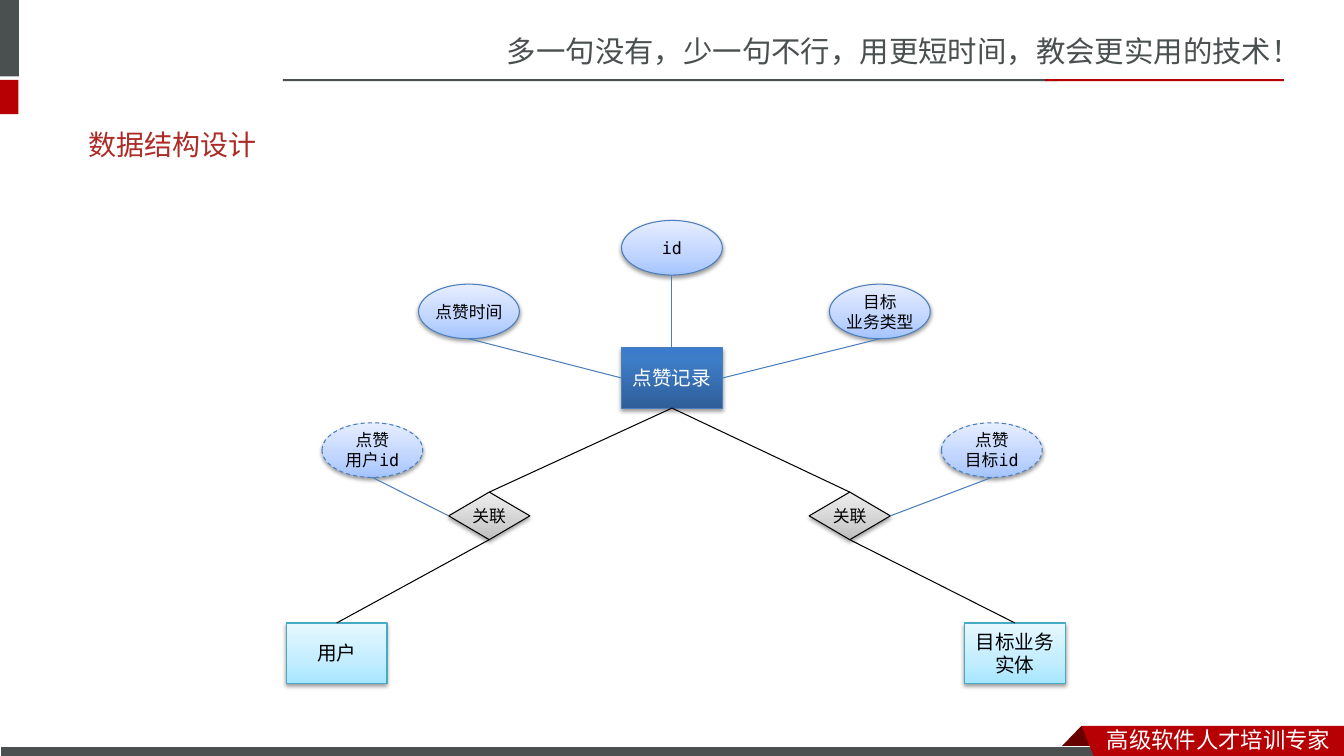
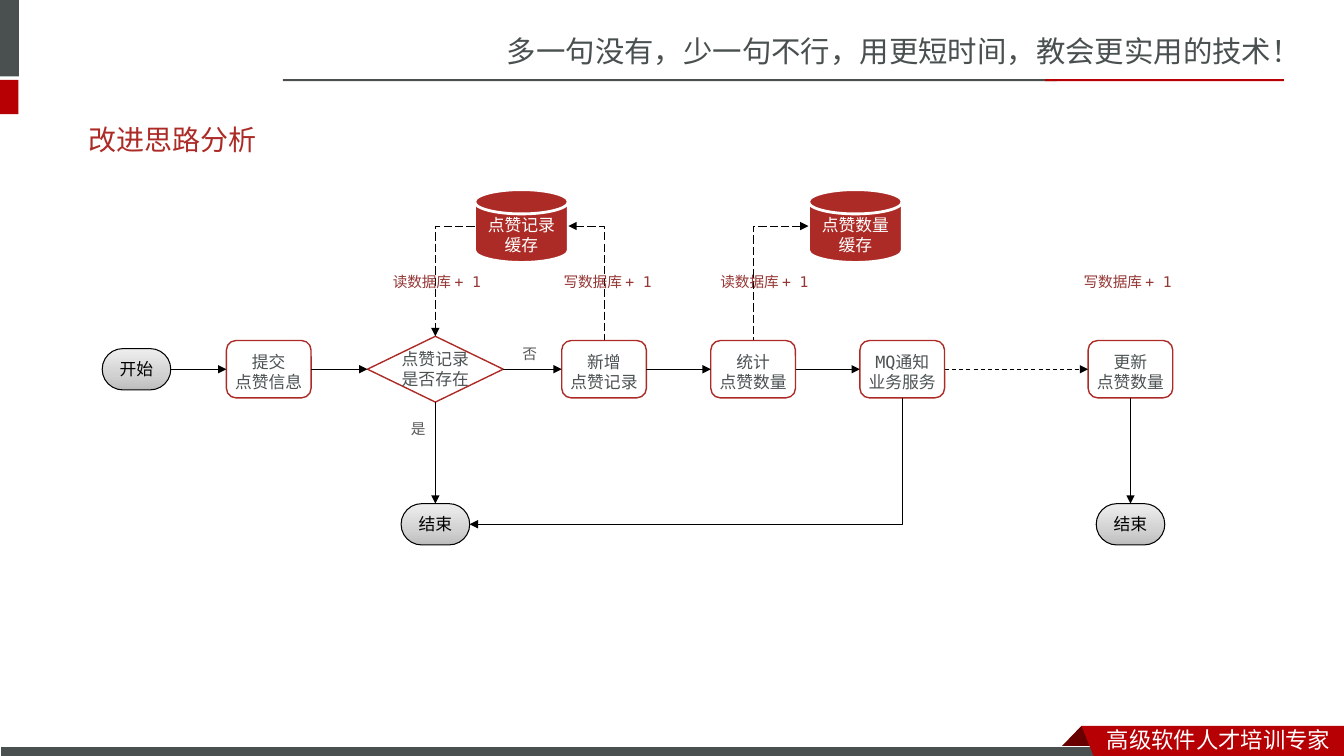
from dataclasses import dataclass
from enum import Enum
from typing import Optional, Union

import pptx
import pptx.dml.color
import pptx.enum.dml
import pptx.enum.shapes
import pptx.enum.text
import pptx.oxml.ns
import pptx.util
from lxml import etree

Pt = pptx.util.Pt
qn = pptx.oxml.ns.qn
Shape = pptx.enum.shapes.MSO_SHAPE
Dash = pptx.enum.dml.MSO_LINE
Align = pptx.enum.text.PP_ALIGN
Anchor = pptx.enum.text.MSO_ANCHOR

SANS, MONO, TITLE_FONT = "Noto Sans CJK SC", "DejaVu Sans Mono", "Calibri"
SLATE, RED, DARK_RED, WHITE, BLACK = "49504F", "B60004", "680000", "FFFFFF", "000000"
BRICK, LABEL_RED, LABEL_GREY, STEP_TEXT = "AD2B26", "953735", "595959", "4C5252"
BLUE, TEAL = "4B7EBC", "46AAC5"

# Gradient stops, from the bottom edge upwards
Stops = tuple[tuple[int, str], ...]
NAVY_FADE: Stops = ((0, "2F5F99"), (80, "3D7CC7"), (100, "3A7CCB"))
AQUA_FADE: Stops = ((0, "A7E6FF"), (35, "C1EDFF"), (100, "E7F8FF"))
GREY_FADE: Stops = ((0, "BDBDBD"), (35, "D1D1D1"), (100, "EEEEEE"))
BLUE_FADE: Stops = ((0, "A4C4FF"), (35, "BFD4FF"), (100, "E6EEFF"))

DEFAULT_INSETS = (7.2, 3.6, 7.2, 3.6)
NARROW_INSETS = (0, 3.6, 0, 3.6)
STEP_INSETS = (0, 3.6, 0, 0)


class Side(Enum):
    TOP = (0, -0.5)
    LEFT = (-0.5, 0)
    BOTTOM = (0, 0.5)
    RIGHT = (0.5, 0)


FOUR_SITES = {Side.TOP: 0, Side.LEFT: 1, Side.BOTTOM: 2, Side.RIGHT: 3}
SITES = {
    Shape.OVAL: {Side.TOP: 0, Side.LEFT: 2, Side.BOTTOM: 4, Side.RIGHT: 6},
    Shape.FLOWCHART_MAGNETIC_DISK: {
        Side.TOP: 1, Side.LEFT: 2, Side.BOTTOM: 3, Side.RIGHT: 4},
}


@dataclass(frozen=True)
class Style:
    preset: Shape
    width: float
    height: float
    fill: Union[str, Stops, None]
    outline: str
    text_color: str = BLACK
    text_size: float = 12
    outline_width: float = 0.75
    insets: tuple = NARROW_INSETS
    shadow: bool = False
    dash: Optional[Dash] = None
    rounding: Optional[float] = None


@dataclass(frozen=True)
class Node:
    style: Style
    text: str
    x: float  # centre
    y: float


@dataclass(frozen=True)
class Link:
    start: str
    start_side: Side
    end: str
    end_side: Side
    color: str = BLACK
    arrow: bool = True
    elbow: bool = False
    dash: Optional[Dash] = None


@dataclass(frozen=True)
class Label:
    text: str
    left: float
    top: float
    width: float
    color: str


RECORD = Style(Shape.RECTANGLE, 72, 43, NAVY_FADE, BLUE, WHITE, 14,
               insets=DEFAULT_INSETS, shadow=True)
ENTITY = Style(Shape.RECTANGLE, 72, 43, AQUA_FADE, TEAL, text_size=14,
               insets=DEFAULT_INSETS, shadow=True)
RELATION = Style(Shape.DIAMOND, 58, 34, GREY_FADE, BLACK, shadow=True)
ATTRIBUTE = Style(Shape.OVAL, 72, 39, BLUE_FADE, BLUE, shadow=True)
FOREIGN_KEY = Style(Shape.OVAL, 72, 39, BLUE_FADE, BLUE, shadow=True, dash=Dash.DASH)
TERMINAL = Style(Shape.ROUNDED_RECTANGLE, 49, 29.5, GREY_FADE, BLACK,
                 insets=DEFAULT_INSETS, rounding=0.5)
STEP = Style(Shape.ROUNDED_RECTANGLE, 60.5, 41, None, BRICK, STEP_TEXT,
             outline_width=1, insets=STEP_INSETS)
DECISION = Style(Shape.DIAMOND, 97, 47, None, BRICK, STEP_TEXT, outline_width=1)
CACHE = Style(Shape.FLOWCHART_MAGNETIC_DISK, 67, 52, BRICK, WHITE, WHITE,
              outline_width=2, insets=STEP_INSETS)

DATA_NODES = {
    "record": Node(RECORD, "点赞记录", 480, 270),
    "user": Node(ENTITY, "用户", 240.5, 466.5),
    "target": Node(ENTITY, "目标业务实体", 725, 466.5),
    "user_relation": Node(RELATION, "关联", 349.5, 368.5),
    "target_relation": Node(RELATION, "关联", 607, 368.5),
    "user_id": Node(FOREIGN_KEY, "点赞\n用户id", 266, 321.5),
    "target_id": Node(FOREIGN_KEY, "点赞\n目标id", 708.5, 321.5),
    "id": Node(ATTRIBUTE, "id", 480, 177),
    "target_type": Node(ATTRIBUTE, "目标\n业务类型", 628.5, 222.5),
    "time": Node(ATTRIBUTE, "点赞时间", 335, 222.5),
}
DATA_LINKS = [
    Link("record", Side.BOTTOM, "user_relation", Side.TOP, arrow=False),
    Link("user_relation", Side.BOTTOM, "user", Side.TOP, arrow=False),
    Link("user_relation", Side.LEFT, "user_id", Side.BOTTOM, BLUE, False),
    Link("record", Side.BOTTOM, "target_relation", Side.TOP, arrow=False),
    Link("target_relation", Side.BOTTOM, "target", Side.TOP, arrow=False),
    Link("target_relation", Side.RIGHT, "target_id", Side.BOTTOM, BLUE, False),
    Link("record", Side.TOP, "id", Side.BOTTOM, BLUE, False),
    Link("record", Side.RIGHT, "target_type", Side.BOTTOM, BLUE, False),
    Link("record", Side.LEFT, "time", Side.BOTTOM, BLUE, False),
]

FLOW_Y, END_Y, CACHE_Y, LABEL_Y = 263.75, 374.5, 161.5, 191.5
FLOW_NODES = {
    "start": Node(TERMINAL, "开始", 97.5, FLOW_Y),
    "submit": Node(STEP, "提交\n点赞信息", 192, FLOW_Y),
    "exists": Node(DECISION, "点赞记录是否存在", 311, FLOW_Y),
    "add": Node(STEP, "新增\n点赞记录", 431.5, FLOW_Y),
    "count": Node(STEP, "统计\n点赞数量", 538, FLOW_Y),
    "notify": Node(STEP, "MQ通知\n业务服务", 644.5, FLOW_Y),
    "update": Node(STEP, "更新\n点赞数量", 807.5, FLOW_Y),
    "end": Node(TERMINAL, "结束", 311, END_Y),
    "update_end": Node(TERMINAL, "结束", 807.5, END_Y),
    "record_cache": Node(CACHE, "点赞记录\n缓存", 372.5, CACHE_Y),
    "count_cache": Node(CACHE, "点赞数量\n缓存", 611, CACHE_Y),
}
MAIN_STEPS = ["start", "submit", "exists", "add", "count", "notify"]
FLOW_LINKS = [
    *(Link(step, Side.RIGHT, following, Side.LEFT)
      for step, following in zip(MAIN_STEPS, MAIN_STEPS[1:])),
    Link("notify", Side.RIGHT, "update", Side.LEFT, dash=Dash.DASH),
    Link("exists", Side.BOTTOM, "end", Side.TOP),
    Link("update", Side.BOTTOM, "update_end", Side.TOP),
    Link("notify", Side.BOTTOM, "end", Side.RIGHT, elbow=True),
    Link("add", Side.TOP, "record_cache", Side.RIGHT, elbow=True, dash=Dash.LONG_DASH),
    Link("record_cache", Side.LEFT, "exists", Side.TOP, elbow=True, dash=Dash.LONG_DASH),
    Link("count", Side.TOP, "count_cache", Side.LEFT, elbow=True, dash=Dash.LONG_DASH),
]
FLOW_LABELS = [
    Label("读数据库 + 1", 273.5, LABEL_Y, 81, LABEL_RED),
    Label("写数据库 + 1", 395.5, LABEL_Y, 81, LABEL_RED),
    Label("读数据库 + 1", 507.5, LABEL_Y, 81, LABEL_RED),
    Label("写数据库 + 1", 767, LABEL_Y, 81, LABEL_RED),
    Label("是", 286.5, 296.5, 25, LABEL_GREY),
    Label("否", 366, 242.5, 25, LABEL_GREY),
]


def rgb(color: str) -> pptx.dml.color.RGBColor:
    return pptx.dml.color.RGBColor.from_string(color)


def add_text(frame, text: str, font: str, size: float, color: str,
             align: Align = Align.LEFT, line_spacing: Optional[float] = None) -> None:
    """Write each line of the text as a paragraph of one run."""
    for index, line in enumerate(text.split("\n")):
        paragraph = frame.add_paragraph() if index else frame.paragraphs[0]
        paragraph.alignment = align
        paragraph.line_spacing = line_spacing
        run = paragraph.add_run()
        run.text = line
        run.font.name, run.font.size = font, Pt(size)
        run.font.color.rgb = rgb(color)
        etree.SubElement(run.font._element, qn("a:ea"), typeface=SANS)


def add_text_box(slide, box: tuple, text: str, font: str, size: float, color: str,
                 wrap: bool = True, anchor: Anchor = Anchor.TOP,
                 line_spacing: Optional[float] = None) -> None:
    frame = slide.shapes.add_textbox(*map(Pt, box)).text_frame
    frame.word_wrap, frame.vertical_anchor = wrap, anchor
    add_text(frame, text, font, size, color, line_spacing=line_spacing)


def paint(shape, fill: Union[str, Stops, None], outline: Optional[str] = None,
          width: float = 0.75) -> None:
    shape.shadow.inherit = False
    if fill is None:
        shape.fill.background()
    elif isinstance(fill, str):
        shape.fill.solid()
        shape.fill.fore_color.rgb = rgb(fill)
    else:
        shape.fill.gradient()
        shape.fill.gradient_angle = 90
        stop_list = shape._element.spPr.find(".//" + qn("a:gsLst"))
        for stop in list(stop_list):
            stop_list.remove(stop)
        for position, color in fill:
            stop = etree.SubElement(stop_list, qn("a:gs"), pos=str(position * 1000))
            etree.SubElement(stop, qn("a:srgbClr"), val=color)
    if outline is None:
        shape.line.fill.background()
    else:
        shape.line.color.rgb = rgb(outline)
        shape.line.width = Pt(width)


def add_soft_shadow(shape) -> None:
    effects = shape._element.spPr.find(qn("a:effectLst"))
    shadow = etree.SubElement(effects, qn("a:outerShdw"), blurRad=str(Pt(3.1)),
                              dist=str(Pt(1.6)), dir="5400000", rotWithShape="0")
    color = etree.SubElement(shadow, qn("a:srgbClr"), val=BLACK)
    etree.SubElement(color, qn("a:alpha"), val="38000")


def add_bar(slide, box: tuple, fill: str, outline: Optional[str] = None) -> None:
    paint(slide.shapes.add_shape(Shape.RECTANGLE, *map(Pt, box)), fill, outline)


def add_polygon(slide, points: list, fill: str) -> None:
    corners = [(Pt(x), Pt(y)) for x, y in points]
    builder = slide.shapes.build_freeform(*corners[0])
    builder.add_line_segments(corners[1:], close=True)
    paint(builder.convert_to_shape(), fill)


def add_node(slide, node: Node):
    style = node.style
    shape = slide.shapes.add_shape(
        style.preset, Pt(node.x - style.width / 2), Pt(node.y - style.height / 2),
        Pt(style.width), Pt(style.height))
    if style.rounding is not None:
        shape.adjustments[0] = style.rounding
    paint(shape, style.fill, style.outline, style.outline_width)
    if style.dash:
        shape.line.dash_style = style.dash
    if style.shadow:
        add_soft_shadow(shape)
    frame = shape.text_frame
    frame.word_wrap, frame.vertical_anchor = True, Anchor.MIDDLE
    (frame.margin_left, frame.margin_top,
     frame.margin_right, frame.margin_bottom) = map(Pt, style.insets)
    add_text(frame, node.text, MONO, style.text_size, style.text_color, Align.CENTER)
    return shape


def add_link(slide, link: Link, nodes: dict, shapes: dict) -> None:
    """Join two nodes; an elbow is drawn from the end that leaves sideways."""
    ends = [(link.start, link.start_side), (link.end, link.end_side)]
    swapped = link.elbow and link.start_side in (Side.TOP, Side.BOTTOM)
    if swapped:
        ends.reverse()
    points = []
    for key, side in ends:
        node, (dx, dy) = nodes[key], side.value
        points += [Pt(node.x + dx * node.style.width), Pt(node.y + dy * node.style.height)]
    kinds = pptx.enum.shapes.MSO_CONNECTOR
    connector = slide.shapes.add_connector(
        kinds.ELBOW if link.elbow else kinds.STRAIGHT, *points)
    element = connector._element
    if link.elbow:
        element.spPr.find(qn("a:prstGeom")).set("prst", "bentConnector2")
    joints = element.find(".//" + qn("p:cNvCxnSpPr"))
    for tag, (key, side) in zip(("a:stCxn", "a:endCxn"), ends):
        site = SITES.get(nodes[key].style.preset, FOUR_SITES)[side]
        etree.SubElement(joints, qn(tag), id=str(shapes[key].shape_id), idx=str(site))
    connector.line.color.rgb = rgb(link.color)
    connector.line.width = Pt(0.75)
    if link.dash:
        connector.line.dash_style = link.dash
    if link.arrow:
        tip = "a:headEnd" if swapped else "a:tailEnd"
        etree.SubElement(element.spPr.find(qn("a:ln")), qn(tip), type="triangle")
    etree.SubElement(element.spPr, qn("a:effectLst"))


def add_diagram(slide, nodes: dict, links: list) -> None:
    shapes = {key: add_node(slide, node) for key, node in nodes.items()}
    for link in links:
        add_link(slide, link, nodes, shapes)


def add_framed_slide(deck, title: str, title_box: tuple,
                     line_spacing: Optional[float] = None):
    """Add a slide with the shared header, footer and title style."""
    slide = deck.slides.add_slide(deck.slide_layouts[6])
    add_text_box(slide, (355, 20, 605, 34),
                 "多一句没有，少一句不行，用更短时间，教会更实用的技术！", SANS, 21, SLATE)
    add_bar(slide, (0, 0, 13.5, 54.5), SLATE)
    add_bar(slide, (0, 57, 13.25, 24.5), RED)
    add_bar(slide, (202, 56.5, 553, 1.5), SLATE)
    add_bar(slide, (746.5, 56.5, 170.5, 1.5), RED)
    add_polygon(slide, [(772.5, 518.5), (788.5, 534.5), (757, 534.5)], DARK_RED)
    add_bar(slide, (0, 533.5, 791, 8.5), SLATE, WHITE)
    add_polygon(slide, [(772.5, 518.5), (960, 518.5), (960, 542.5), (782, 542)], RED)
    add_text_box(slide, (783.5, 515, 176.5, 27), "高级软件人才培训专家", SANS, 16, WHITE)
    add_text_box(slide, title_box, title, TITLE_FONT, 20, BRICK,
                 anchor=Anchor.MIDDLE, line_spacing=line_spacing)
    return slide


def main() -> None:
    deck = pptx.Presentation()
    deck.slide_width, deck.slide_height = Pt(960), Pt(540)

    data_slide = add_framed_slide(deck, "数据结构设计", (56, 74, 587.5, 34), 2.0)
    add_diagram(data_slide, DATA_NODES, DATA_LINKS)

    flow_slide = add_framed_slide(deck, "改进思路分析", (56, 79, 842.5, 41))
    add_diagram(flow_slide, FLOW_NODES, FLOW_LINKS)
    for label in FLOW_LABELS:
        add_text_box(flow_slide, (label.left, label.top, label.width, 20),
                     label.text, MONO, 10.5, label.color, wrap=False)

    deck.save("out.pptx")


if __name__ == "__main__":
    main()
